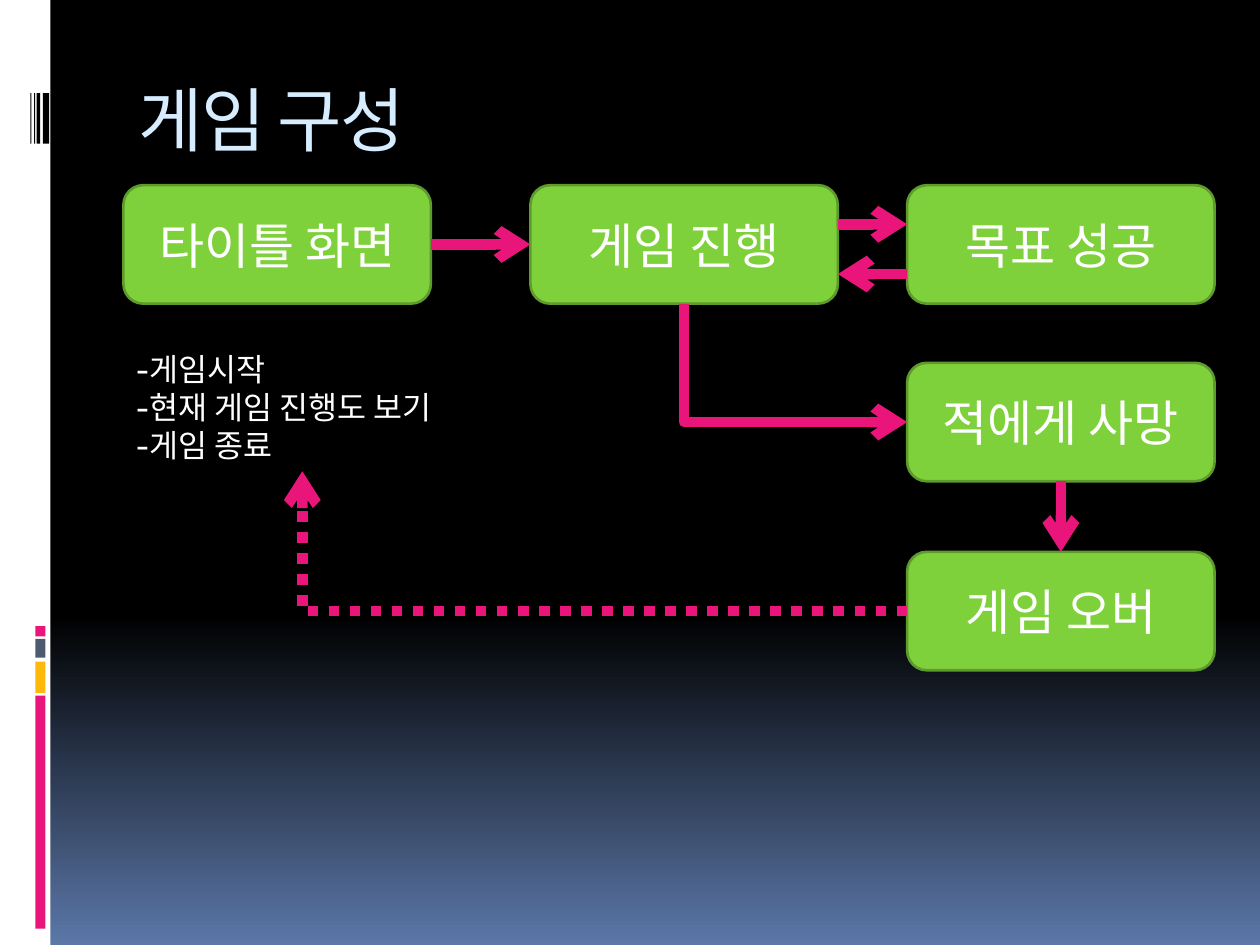
import copy
from dataclasses import dataclass

import pptx
import pptx.dml.color
import pptx.enum.dml
import pptx.enum.shapes
import pptx.enum.text
import pptx.oxml
import pptx.oxml.ns
import pptx.util

SHAPE = pptx.enum.shapes.MSO_SHAPE
CONNECTOR = pptx.enum.shapes.MSO_CONNECTOR
ALIGN = pptx.enum.text.PP_ALIGN
ANCHOR = pptx.enum.text.MSO_ANCHOR
TOP, LEFT, BOTTOM, RIGHT = range(4)


@dataclass(frozen=True)
class Theme:
    night: str = "000000"
    horizon: str = "5B77A8"
    white: str = "FFFFFF"
    title: str = "D6ECFF"
    pink: str = "EA157A"
    amber: str = "FEB80A"
    slate: str = "4E5B6F"
    green: str = "7FD13B"
    green_edge: str = "5E9B2C"
    title_font: str = "DejaVu Sans Mono"
    body_font: str = "Cabin"
    title_size: int = 40
    step_size: int = 28
    list_size: int = 18
    edge: float = 1.5
    arrow: float = 6


THEME = Theme()
# Flow chart grid: column lefts, row tops and the size of a step
COLUMNS = (0.98, 4.21, 7.2)
ROWS = (1.47, 2.88, 4.38)
STEP_SIZE = (2.44, 0.94)


def inches(*lengths):
    return [pptx.util.Inches(length) for length in lengths]


def rgb(color):
    return pptx.dml.color.RGBColor.from_string(color)


def style_text(frame, font, size, color, align=ALIGN.LEFT):
    for paragraph in frame.paragraphs:
        paragraph.alignment = align
        for run in paragraph.runs:
            run.font.name = font
            run.font.size = pptx.util.Pt(size)
            run.font.color.rgb = rgb(color)


def filled_shape(slide, kind, box, color):
    shape = slide.shapes.add_shape(kind, *inches(*box))
    shape.shadow.inherit = False
    shape.fill.solid()
    shape.fill.fore_color.rgb = rgb(color)
    shape.line.fill.background()
    return shape


def paint_background(slide):
    fill = slide.background.fill
    fill.gradient()
    fill.gradient_angle = 270
    stop_list = slide.element.find(".//" + pptx.oxml.ns.qn("a:gsLst"))
    while len(stop_list) < 3:
        stop_list.insert(0, copy.deepcopy(stop_list[0]))
    stops = ((0, THEME.night), (0.65, THEME.night), (1, THEME.horizon))
    for stop, (position, color) in zip(fill.gradient_stops, stops):
        stop.position = position
        stop.color.rgb = rgb(color)


def add_sidebar(slide, box):
    left, top, width, height = box
    filled_shape(slide, SHAPE.RECTANGLE, box, THEME.white)
    # Stacked colour blocks: top and height
    blocks = ((4.97, 0.08, THEME.pink), (5.07, 0.15, THEME.slate),
              (5.25, 0.25, THEME.amber), (5.52, 1.85, THEME.pink))
    for block_top, block_height, color in blocks:
        filled_shape(slide, SHAPE.RECTANGLE,
                     (left + 0.7 * width, top + block_top, 0.08, block_height), color)
    # Barcode: left and width of each bar
    for bar_left, bar_width in ((0.24, 0.01), (0.27, 0.01), (0.29, 0.03), (0.34, 0.05)):
        filled_shape(slide, SHAPE.RECTANGLE,
                     (left + bar_left, top + 0.74, bar_width, 0.4), THEME.night)


def add_title(slide, box, text):
    title = slide.shapes.title
    title.left, title.top, title.width, title.height = inches(*box)
    frame = title.text_frame
    frame.text = text
    frame.auto_size = pptx.enum.text.MSO_AUTO_SIZE.NONE
    frame.vertical_anchor = ANCHOR.TOP
    style_text(frame, THEME.title_font, THEME.title_size, THEME.title)
    frame.paragraphs[0].runs[0].font._element.set("spc", "-100")


def add_menu(slide, box, items):
    frame = slide.shapes.add_textbox(*inches(*box)).text_frame
    frame.word_wrap = True
    frame.text = "\n".join(items)
    style_text(frame, THEME.body_font, THEME.list_size, THEME.white)


def add_step(slide, column, row, text):
    step = filled_shape(slide, SHAPE.ROUNDED_RECTANGLE,
                        (COLUMNS[column], ROWS[row], *STEP_SIZE), THEME.green)
    step.line.color.rgb = rgb(THEME.green_edge)
    step.line.width = pptx.util.Pt(THEME.edge)
    frame = step.text_frame
    frame.text = text
    frame.word_wrap = True
    frame.vertical_anchor = ANCHOR.MIDDLE
    style_text(frame, THEME.body_font, THEME.step_size, THEME.white, ALIGN.CENTER)
    return step


def add_arrow(slide, start, end, kind=CONNECTOR.STRAIGHT, dash=None):
    arrow = slide.shapes.add_connector(kind, *(int(value) for value in (*start, *end)))
    arrow.line.color.rgb = rgb(THEME.pink)
    arrow.line.width = pptx.util.Pt(THEME.arrow)
    if dash:
        arrow.line.dash_style = dash
    properties = arrow.element.spPr
    arrow.line._get_or_add_ln().append(pptx.oxml.parse_xml(
        f'<a:tailEnd {pptx.oxml.ns.nsdecls("a")} type="arrow"/>'))
    properties.append(pptx.oxml.parse_xml(f'<a:effectLst {pptx.oxml.ns.nsdecls("a")}/>'))
    return arrow


def add_corner_arrow(slide, start, end, down_first=False, dash=None):
    if down_first:
        # A quarter turn about the centre swaps the two legs
        (x1, y1), (x2, y2) = start, end
        mid_x, mid_y = (x1 + x2) / 2, (y1 + y2) / 2
        half_w, half_h = (y2 - y1) / 2, (x2 - x1) / 2
        start, end = (mid_x + half_w, mid_y - half_h), (mid_x - half_w, mid_y + half_h)
    arrow = add_arrow(slide, start, end, CONNECTOR.ELBOW, dash)
    properties = arrow.element.spPr
    properties.find(pptx.oxml.ns.qn("a:prstGeom")).set("prst", "bentConnector2")
    if down_first:
        properties.find(pptx.oxml.ns.qn("a:xfrm")).set("rot", str(270 * 60000))


def join(slide, source, source_side, target, target_side):
    arrow = add_arrow(slide, (source.left, source.top), (target.left, target.top))
    arrow.begin_connect(source, source_side)
    arrow.end_connect(target, target_side)


def point(step, across, down):
    return step.left + across * step.width, step.top + down * step.height


def add_flow(slide):
    title_screen = add_step(slide, 0, 0, "타이틀 화면")
    play = add_step(slide, 1, 0, "게임 진행")
    goal = add_step(slide, 2, 0, "목표 성공")
    death = add_step(slide, 2, 1, "적에게 사망")
    game_over = add_step(slide, 2, 2, "게임 오버")
    join(slide, title_screen, RIGHT, play, LEFT)
    join(slide, death, BOTTOM, game_over, TOP)
    # Play and goal lead to each other
    add_arrow(slide, point(play, 1, 0.33), point(goal, 0, 0.33))
    add_arrow(slide, point(goal, 0, 0.75), point(play, 1, 0.75))
    # Death branch, and the way back to the menu
    add_corner_arrow(slide, point(play, 0.5, 1), point(death, 0, 0.5), down_first=True)
    add_corner_arrow(slide, point(game_over, 0, 0.5), inches(2.4, 3.74),
                     dash=pptx.enum.dml.MSO_LINE.ROUND_DOT)


def main():
    deck = pptx.Presentation()
    deck.slide_width, deck.slide_height = inches(10, 7.5)
    slide = deck.slides.add_slide(deck.slide_layouts.get_by_name("Title Only"))
    paint_background(slide)
    add_sidebar(slide, (0, 0, 0.4, 7.5))
    add_title(slide, (1, 0.56, 8.5, 1), "게임 구성")
    add_flow(slide)
    add_menu(slide, (COLUMNS[0], 2.73, 2.84, 1.01),
             ("-게임시작", "-현재 게임 진행도 보기", "-게임 종료"))
    deck.save("out.pptx")


if __name__ == "__main__":
    main()
